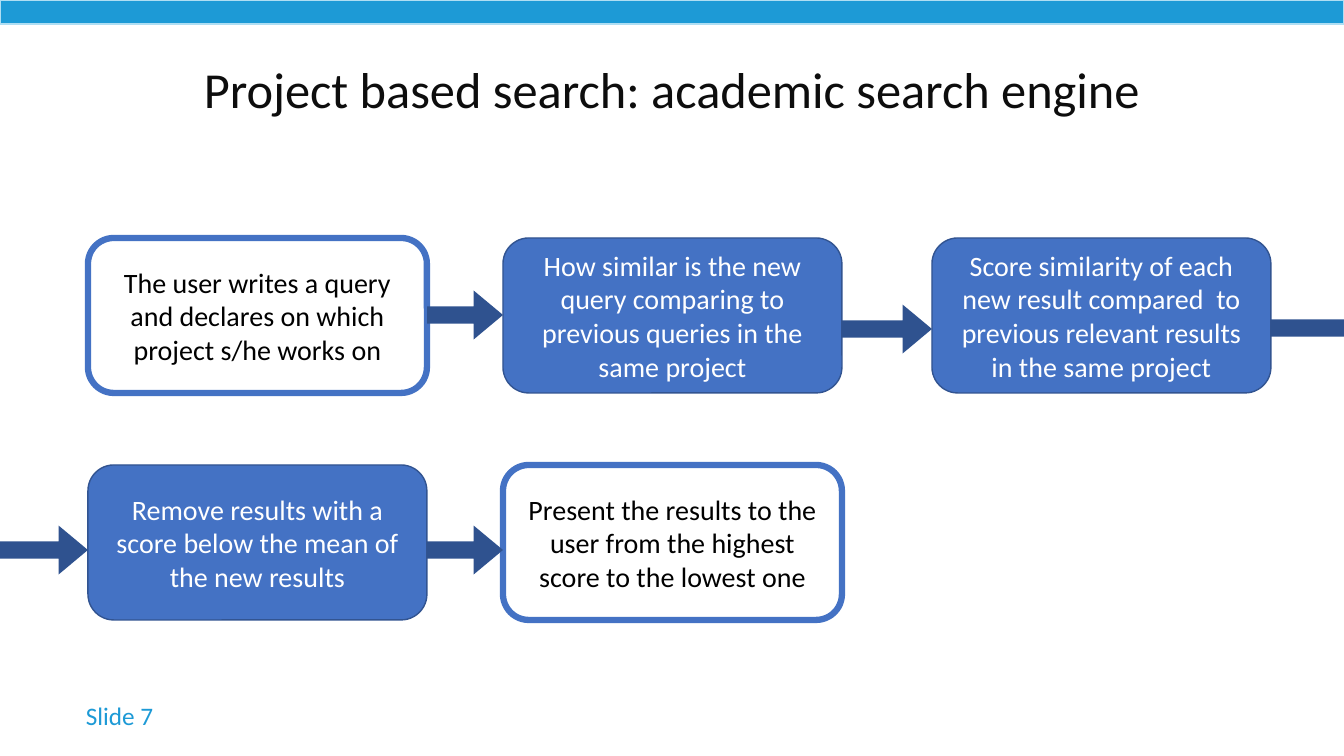
"""Build the slide showing the steps of a project based academic search engine."""
from dataclasses import dataclass

from pptx import Presentation
from pptx.dml.color import RGBColor
from pptx.enum.shapes import MSO_SHAPE
from pptx.enum.text import MSO_ANCHOR, PP_ALIGN
from pptx.util import Emu, Pt

RECT, ROUNDED, ARROW = MSO_SHAPE.RECTANGLE, MSO_SHAPE.ROUNDED_RECTANGLE, MSO_SHAPE.RIGHT_ARROW
MIDDLE, CENTER = MSO_ANCHOR.MIDDLE, PP_ALIGN.CENTER

TITLE = "Project based search: academic search engine"
FOOTER = "Slide 7"
STEPS = [
    (0, 0, "endpoint", "The user writes a query and declares on which project s/he works on"),
    (1, 0, "process", "How similar is the new query comparing to previous queries in the same project"),
    (2, 0, "process", "Score similarity of each new result compared  to previous relevant results "
                      "in the same project"),
    (0, 1, "process", "Remove results with a score below the mean of the new results"),
    (1, 1, "endpoint", "Present the results to the user from the highest score to the lowest one"),
]

PX = 914400 / 100.8
SLIDE_W, SLIDE_H = 1344, 756
BAR_H = 24
COLUMNS, ROWS = (88, 503, 932), (238, 465)
BOX_W, BOX_H = 339, 155
ARROW_H, BLEED_LEFT, BLEED_RIGHT = 49, -9, 1380


@dataclass(frozen=True)
class Theme:
    """Colours, font and type sizes of the slide."""
    font: str = "Calibri"
    accent: str = "1D9AD6"
    accent_edge: str = "AFDEF3"
    title: str = "0D0D0D"
    arrow: str = "2F528F"
    title_size: int = 36
    step_size: int = 20
    footer_size: int = 18


THEME = Theme()
STEP_STYLES = {
    "endpoint": ("FFFFFF", "4472C4", 4.5, "000000"),
    "process": ("4472C4", "325491", 1, "FFFFFF"),
}


def px(*lengths):
    return [Emu(round(n * PX)) for n in lengths]


def add_shape(s, kind, box, fill, line=None, width=1):
    sp = s.shapes.add_shape(kind, *px(*box))
    sp.shadow.inherit = False
    sp.fill.solid()
    sp.fill.fore_color.rgb = RGBColor.from_string(fill)
    if line:
        sp.line.color.rgb = RGBColor.from_string(line)
        sp.line.width = Pt(width)
    else:
        sp.line.fill.background()
    return sp


def write(sp, text, size, color):
    tf = sp.text_frame
    tf.word_wrap = True
    tf.vertical_anchor = MIDDLE
    p = tf.paragraphs[0]
    p.alignment = CENTER
    r = p.add_run()
    r.text = text
    r.font.name = THEME.font
    r.font.size = Pt(size)
    r.font.color.rgb = RGBColor.from_string(color)


def add_arrow(s, left, right, middle):
    box = (left, middle - ARROW_H / 2, right - left, ARROW_H)
    sp = add_shape(s, ARROW, box, THEME.arrow)
    sp.adjustments[0], sp.adjustments[1] = 0.35, 0.6


def main():
    prs = Presentation()
    prs.slide_width, prs.slide_height = px(SLIDE_W, SLIDE_H)
    s = prs.slides.add_slide(prs.slide_layouts[5])

    title = s.shapes.title
    title.left, title.top, title.width, title.height = px(0, 64, SLIDE_W, 49)
    write(title, TITLE, THEME.title_size, THEME.title)

    add_shape(s, RECT, (0, 0, SLIDE_W, BAR_H), THEME.accent, THEME.accent_edge)
    footer = s.shapes.add_textbox(*px(62, 691, 115, 49))
    write(footer, FOOTER, THEME.footer_size, THEME.accent)

    for column, row, style, text in STEPS:
        fill, line, width, color = STEP_STYLES[style]
        box = (COLUMNS[column], ROWS[row], BOX_W, BOX_H)
        sp = add_shape(s, ROUNDED, box, fill, line, width)
        write(sp, text, THEME.step_size, color)

    first, second, third = COLUMNS
    arrows = [
        (first + BOX_W, second, 315),
        (second + BOX_W, third, 329),
        (third + BOX_W, BLEED_RIGHT, 328),
        (BLEED_LEFT, first, 550),
        (first + BOX_W, second, 550),
    ]
    for left, right, middle in arrows:
        add_arrow(s, left, right, middle)

    prs.save("out.pptx")


if __name__ == "__main__":
    main()
